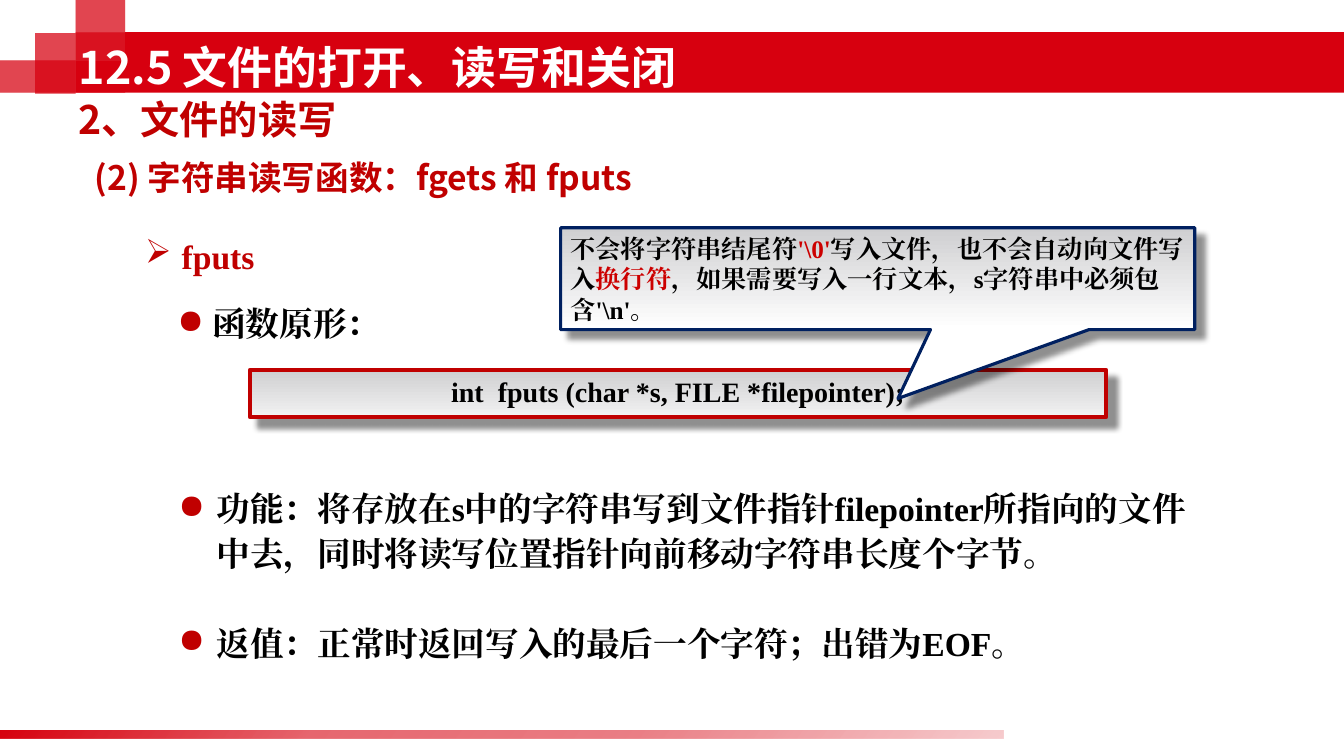
from lxml import etree
from pptx import Presentation
from pptx.dml.color import RGBColor
from pptx.enum.shapes import MSO_SHAPE
from pptx.enum.text import MSO_ANCHOR, MSO_AUTO_SIZE, PP_ALIGN
from pptx.oxml.ns import qn
from pptx.util import Inches, Pt

RECT = MSO_SHAPE.RECTANGLE
WEDGE = MSO_SHAPE.RECTANGULAR_CALLOUT
TOP, MIDDLE = MSO_ANCHOR.TOP, MSO_ANCHOR.MIDDLE
GROW, FIXED = MSO_AUTO_SIZE.SHAPE_TO_FIT_TEXT, MSO_AUTO_SIZE.NONE
LEFT, CENTER = PP_ALIGN.LEFT, PP_ALIGN.CENTER
RED = RGBColor(0xD7, 0x00, 0x0F)
DARK = RGBColor(0xC0, 0x00, 0x00)
ALERT = RGBColor(0xCC, 0x00, 0x00)
NAVY = RGBColor(0x00, 0x20, 0x60)
GREY = RGBColor(0xCF, 0xCF, 0xD1)
PALE = RGBColor(0xF2, 0xF2, 0xF2)
WHITE = RGBColor(0xFF, 0xFF, 0xFF)
BLACK = RGBColor(0x00, 0x00, 0x00)
SANS, SERIF = "Noto Sans CJK SC", "Times New Roman"


def add_node(parent, tag, **attrs):
    node = etree.SubElement(parent, qn(tag))
    for key, value in attrs.items():
        node.set(key, str(value))
    return node


def add_text(para, runs, size, face):
    for words, color in runs:
        run = para.add_run()
        run.text = words
        font = run.font
        font.size, font.bold, font.name = Pt(size), True, face
        font.color.rgb = color
        add_node(run._r.get_or_add_rPr(), "a:ea", typeface=face)


deck = Presentation()
deck.slide_width, deck.slide_height = Inches(13.33), Inches(7.5)
slide = deck.slides.add_slide(deck.slide_layouts[5])
shapes = slide.shapes

tiles = [(0, 0.6, 1.24, 0.32), (0.35, 0.33, 0.4, 0.6),
         (0.75, -0.02, 0.49, 0.62), (0.75, 0.32, 0.49, 0.28)]
bars = [(1.24, 0.32, 12.09, 0.6), (0.75, 0.6, 0.49, 0.32)]
blocks = [(spot, 48) for spot in tiles * 2] + [(spot, 100) for spot in bars]
for spot, alpha in blocks:
    block = shapes.add_shape(RECT, *map(Inches, spot))
    block.shadow.inherit = False
    block.line.fill.background()
    block.fill.solid()
    block.fill.fore_color.rgb = RED
    if alpha < 100:
        tint = block._element.spPr.find(".//" + qn("a:srgbClr"))
        add_node(tint, "a:alpha", val=alpha * 1000)

fade = [(0, RED, 100), (31, RED, 60), (64, RED, 50), (100, RED, 20)]
code = [("int  fputs (char *s, FILE *filepointer);", BLACK)]
note = [("不会将字符串结尾符", BLACK), ("'\\0'", ALERT),
        ("写入文件，也不会自动向文件写入", BLACK), ("换行符", ALERT),
        ("，如果需要写入一行文本，s字符串中必须包含'\\n'。", BLACK)]
panels = [
    (RECT, (-0.02, 7.25, 9.97, 0.08), fade, 40, None, 0, [], 18, LEFT, TOP),
    (RECT, (2.48, 3.67, 8.49, 0.47), [(0, GREY, 100), (100, PALE, 100)], 90,
     DARK, 3, code, 20, CENTER, TOP),
    (WEDGE, (5.56, 2.26, 6.29, 1.01), [(0, GREY, 100), (100, WHITE, 100)], 90,
     NAVY, 2.25, note, 18, LEFT, MIDDLE),
]
for kind, spot, stops, angle, edge, width, runs, size, align, anchor in panels:
    panel = shapes.add_shape(kind, *map(Inches, spot))
    panel.shadow.inherit = False
    panel.fill.gradient()
    panel.fill.gradient_angle = 360 - angle
    props = panel._element.spPr
    ramp = props.find(".//" + qn("a:gsLst"))
    ramp.clear()
    for pos, color, alpha in stops:
        stop = add_node(ramp, "a:gs", pos=pos * 1000)
        tint = add_node(stop, "a:srgbClr", val=color)
        add_node(tint, "a:alpha", val=alpha * 1000)
    if edge is None:
        panel.line.fill.background()
        continue
    panel.line.color.rgb, panel.line.width = edge, Pt(width)
    shade = add_node(props.find(qn("a:effectLst")), "a:outerShdw",
                     blurRad=Pt(4), dist=Pt(8.4), dir=45 * 60000,
                     algn="ctr", rotWithShape=0)
    tint = add_node(shade, "a:srgbClr", val=BLACK)
    add_node(tint, "a:alpha", val=43000)
    if kind == WEDGE:
        panel.adjustments[0], panel.adjustments[1] = 0.032, 1.177
    frame = panel.text_frame
    frame.word_wrap, frame.vertical_anchor = True, anchor
    para = frame.paragraphs[0]
    para.alignment = align
    add_text(para, runs, size, SERIF)

facts = ["功能：将存放在s中的字符串写到文件指针filepointer所指向的文件中去，"
         "同时将读写位置指针向前移动字符串长度个字节。",
         "返值：正常时返回写入的最后一个字符；出错为EOF。"]
boxes = [
    ((0.68, 0.89, 2.96, 0.57), ["2、文件的读写"], 28, SANS, DARK,
     MIDDLE, False, "", 0, None),
    ((0.84, 1.51, 5.97, 0.5), ["(2) 字符串读写函数：fgets 和 fputs"], 24, SANS,
     DARK, MIDDLE, False, "", 0, None),
    ((1.34, 2.29, 1.39, 0.5), [" fputs"], 24, SERIF, DARK,
     MIDDLE, True, "➢", 0.28, None),
    ((1.66, 2.96, 2.15, 0.5), [" 函数原形："], 24, SERIF, BLACK,
     TOP, True, "●", 0.24, None),
    ((1.67, 4.75, 10.42, 1.86), facts, 24, SERIF, BLACK,
     TOP, True, "●", 0.38, Pt(32)),
]
for spot, lines, size, face, color, anchor, wrap, mark, indent, pitch in boxes:
    frame = shapes.add_textbox(*map(Inches, spot)).text_frame
    frame.word_wrap, frame.auto_size = wrap, GROW
    frame.vertical_anchor = anchor
    for i, words in enumerate(lines):
        para = frame.add_paragraph() if i else frame.paragraphs[0]
        if mark:
            props = para._p.get_or_add_pPr()
            props.set("marL", str(Inches(indent)))
            props.set("indent", str(-Inches(indent)))
            add_node(add_node(props, "a:buClr"), "a:srgbClr", val=DARK)
            add_node(props, "a:buChar", char=mark)
        if pitch:
            para.line_spacing = pitch
        if i:
            para.space_before = pitch
        add_text(para, [(words, color)], size, face)

title = shapes.title
title.left, title.top = Inches(0.68), Inches(0.33)
title.width, title.height = Inches(8.9), Inches(0.67)
frame = title.text_frame
frame.word_wrap, frame.auto_size = True, FIXED
frame.vertical_anchor = MIDDLE
para = frame.paragraphs[0]
para.alignment = LEFT
add_text(para, [("12.5 文件的打开、读写和关闭", WHITE)], 32, SANS)
shapes._spTree.append(title._element)

deck.save("out.pptx")
